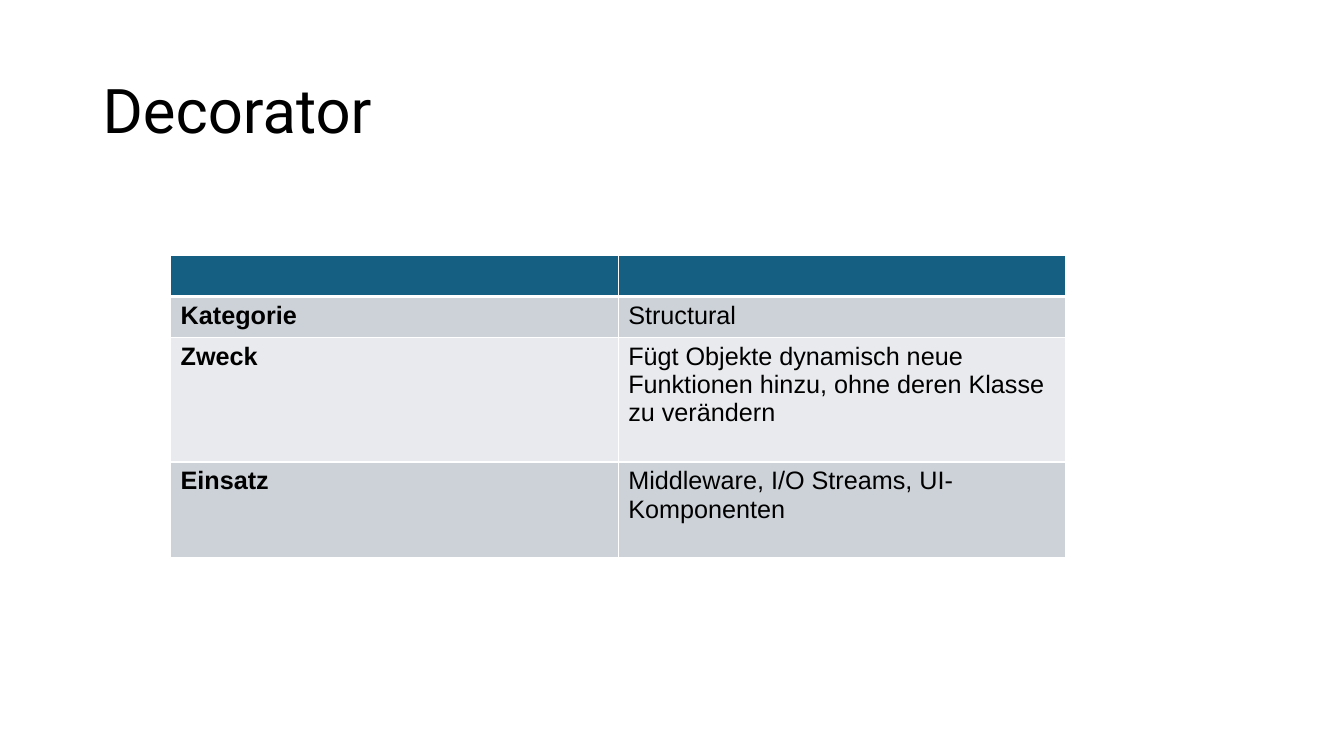
import pptx
import pptx.dml.color
import pptx.enum.text
import pptx.oxml
import pptx.oxml.ns
import pptx.util
from pptx.util import Cm

HEADING = "Decorator"
# label, description, row height in cm
ROWS = [
    ("", "", 1.03),
    ("Kategorie", "Structural", 1.03),
    ("Zweck", "Fügt Objekte dynamisch neue Funktionen hinzu, ohne deren Klasse zu verändern", 3.14),
    ("Einsatz", "Middleware, I/O Streams, UI-Komponenten", 2.42),
]
HEADER_FILL = "156082"
BAND_FILLS = ("E8EAED", "CCD2D8")
BORDER = "FFFFFF"
COLUMN_WIDTH = 11.28


def color(hex_value):
    return pptx.dml.color.RGBColor.from_string(hex_value)


def write(frame, text, font="Arial", size=18, bold=False, ink="000000", spacing=None):
    paragraph = frame.paragraphs[0]
    paragraph.alignment = pptx.enum.text.PP_ALIGN.LEFT
    if spacing:
        paragraph.line_spacing = spacing
    run = paragraph.add_run()
    run.text = text
    run.font.name = font
    run.font.size = pptx.util.Pt(size)
    run.font.bold = bold
    run.font.color.rgb = color(ink)


def set_borders(cell, **widths):
    """Draw the cell's edges; widths in points, keyed L, R, T, B in that order."""
    properties = cell._tc.get_or_add_tcPr()
    for position, (side, width) in enumerate(widths.items()):
        properties.insert(position, pptx.oxml.parse_xml(
            f'<a:ln{side} {pptx.oxml.ns.nsdecls("a")} w="{pptx.util.Pt(width)}">'
            f'<a:solidFill><a:srgbClr val="{BORDER}"/></a:solidFill></a:ln{side}>'))


def fill_table(table):
    for column in table.columns:
        column.width = Cm(COLUMN_WIDTH)
    for index, (label, description, height) in enumerate(ROWS):
        table.rows[index].height = Cm(height)
        for position, text in enumerate((label, description)):
            cell = table.cell(index, position)
            cell.fill.solid()
            cell.fill.fore_color.rgb = color(BAND_FILLS[index % 2] if index else HEADER_FILL)
            set_borders(cell, L=1, R=1, T=3 if index == 1 else 1, B=3 if index == 0 else 1)
            if text:
                write(cell.text_frame, text, bold=position == 0)


def main():
    deck = pptx.Presentation()
    deck.slide_width, deck.slide_height = Cm(33.87), Cm(19.05)
    slide = deck.slides.add_slide(deck.slide_layouts[5])

    heading = slide.shapes.title
    heading.left, heading.top, heading.width, heading.height = Cm(2.33), Cm(1.01), Cm(29.21), Cm(3.68)
    heading.text_frame.vertical_anchor = pptx.enum.text.MSO_ANCHOR.MIDDLE
    write(heading.text_frame, HEADING, font="Roboto", size=44, spacing=0.9)

    total_height = sum(height for _, _, height in ROWS)
    profile = slide.shapes.add_table(
        len(ROWS), 2, Cm(4.3), Cm(6.44), Cm(2 * COLUMN_WIDTH), Cm(total_height))
    fill_table(profile.table)

    deck.save("out.pptx")


if __name__ == "__main__":
    main()
